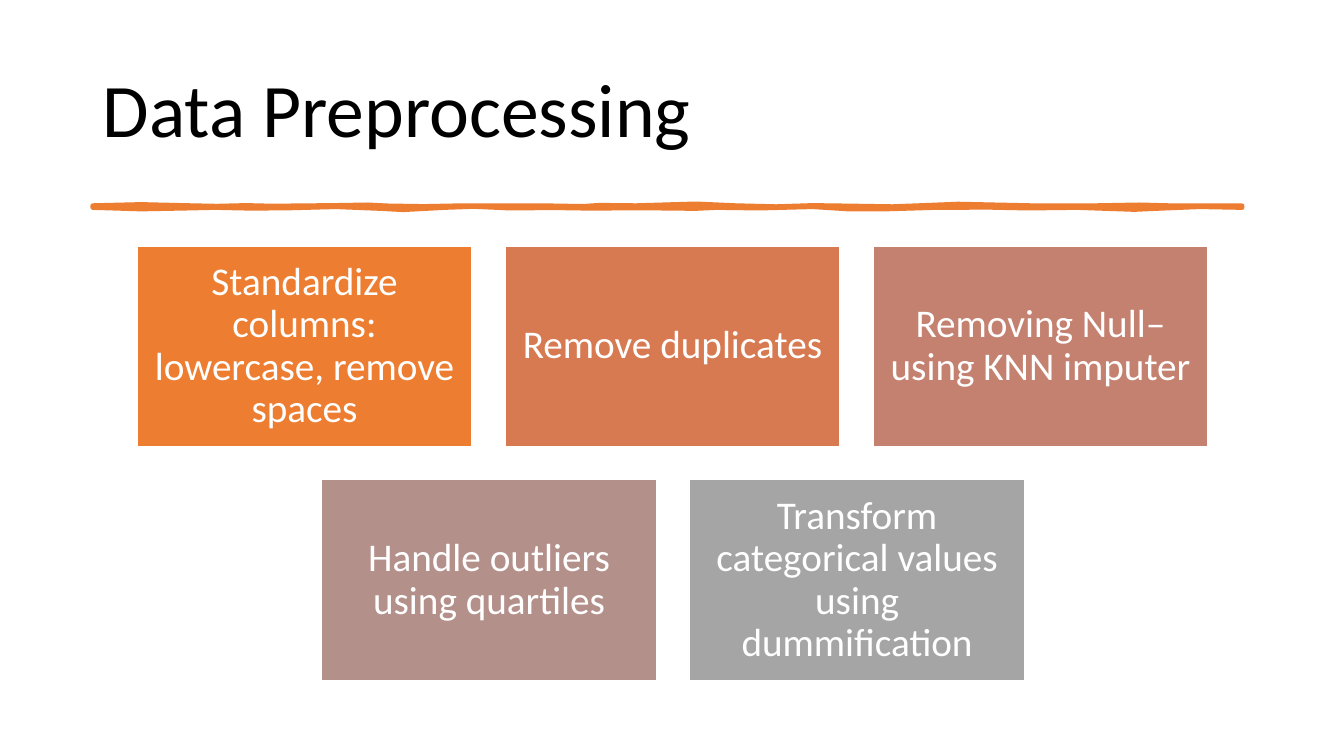
from lxml import etree
from pptx import Presentation, util as u
from pptx.dml.color import RGBColor
from pptx.enum import shapes, text
from pptx.oxml.ns import qn

PX = 9144
COLORS = {
    "ink": "000000",
    "white": "FFFFFF",
    "rule": "ED7D31",
    "columns": "ED7D31",
    "duplicates": "D87A51",
    "nulls": "C48170",
    "outliers": "B4908B",
    "transform": "A5A5A5",
}


def paint(shape, fill, line, width):
    shape.shadow.inherit = False
    shape.fill.solid()
    shape.fill.fore_color.rgb = RGBColor.from_string(COLORS[fill])
    shape.line.color.rgb = RGBColor.from_string(COLORS[line])
    shape.line.width = u.Pt(width)


def write(shape, words, size, color, align, inset):
    frame = shape.text_frame
    frame_format = {
        "word_wrap": True,
        "vertical_anchor": text.MSO_ANCHOR.MIDDLE,
        "margin_left": inset * PX,
        "margin_right": inset * PX,
        "margin_top": inset * PX,
        "margin_bottom": inset * PX,
    }
    for name, value in frame_format.items():
        setattr(frame, name, value)
    para = frame.paragraphs[0]
    para.alignment = align
    para.line_spacing = 0.9
    span = para.add_run()
    span.text = words
    for name, value in {"name": "Calibri", "size": u.Pt(size)}.items():
        setattr(span.font, name, value)
    span.font.color.rgb = RGBColor.from_string(COLORS[color])


deck = Presentation()
deck.slide_width = 1333 * PX
deck.slide_height = 750 * PX
page = deck.slides.add_slide(deck.slide_layouts[6])

title = page.shapes.add_textbox(92 * PX, 40 * PX, 1150 * PX, 145 * PX)
write(title, "Data Preprocessing", 54, "ink", text.PP_ALIGN.LEFT, 10)

RULE_TOP = [
    (920, 2040), (1400, 2028), (1900, 2040), (2150, 2045), (2440, 2038),
    (2700, 2044), (3310, 2038), (3650, 2032), (3840, 2042), (4200, 2048),
    (4600, 2040), (5480, 2042), (5780, 2047), (5950, 2036), (6310, 2040),
    (6900, 2022), (7300, 2040), (7700, 2050), (8060, 2038), (8480, 2044),
    (8850, 2050), (9240, 2035), (9500, 2024), (10230, 2040), (10870, 2040),
    (11300, 2032), (11670, 2042), (12320, 2042),
]
RULE_BOTTOM = [
    (12320, 2060), (11900, 2052), (11560, 2066), (11250, 2080), (10680, 2060),
    (10200, 2066), (9810, 2058), (9280, 2060), (8750, 2076), (8400, 2074),
    (8060, 2052), (7530, 2066), (7110, 2060), (6900, 2070), (6350, 2064),
    (5860, 2068), (5500, 2062), (5060, 2066), (4700, 2050), (4410, 2060),
    (4000, 2082), (3770, 2070), (3330, 2052), (2890, 2064), (2500, 2068),
    (2130, 2060), (1870, 2066), (1400, 2075), (920, 2060),
]
outline = page.shapes.build_freeform(*RULE_TOP[0], scale=PX / 10)
outline.add_line_segments(RULE_TOP[1:] + RULE_BOTTOM, close=True)
rule = outline.convert_to_shape()
paint(rule, "rule", "rule", 3.25)
etree.SubElement(rule.line._get_or_add_ln(), qn("a:round"))

STEP_ROWS = [
    [
        ("columns", "Standardize columns: lowercase, remove spaces"),
        ("duplicates", "Remove duplicates"),
        ("nulls", "Removing Null– using KNN imputer"),
    ],
    [
        ("outliers", "Handle outliers using quartiles"),
        ("transform", "Transform categorical values using dummification"),
    ],
]
CENTER, TOP, WIDTH, HEIGHT, GAP = 667, 244, 332, 199, 33

for row, steps in enumerate(STEP_ROWS):
    left = CENTER - (len(steps) * (WIDTH + GAP) - GAP) // 2
    for column, (color, words) in enumerate(steps):
        box = page.shapes.add_shape(
            shapes.MSO_SHAPE.RECTANGLE,
            (left + column * (WIDTH + GAP)) * PX,
            (TOP + row * (HEIGHT + GAP)) * PX,
            WIDTH * PX,
            HEIGHT * PX,
        )
        paint(box, color, "white", 1)
        write(box, words, 28, "white", text.PP_ALIGN.CENTER, 12)

deck.save("out.pptx")
